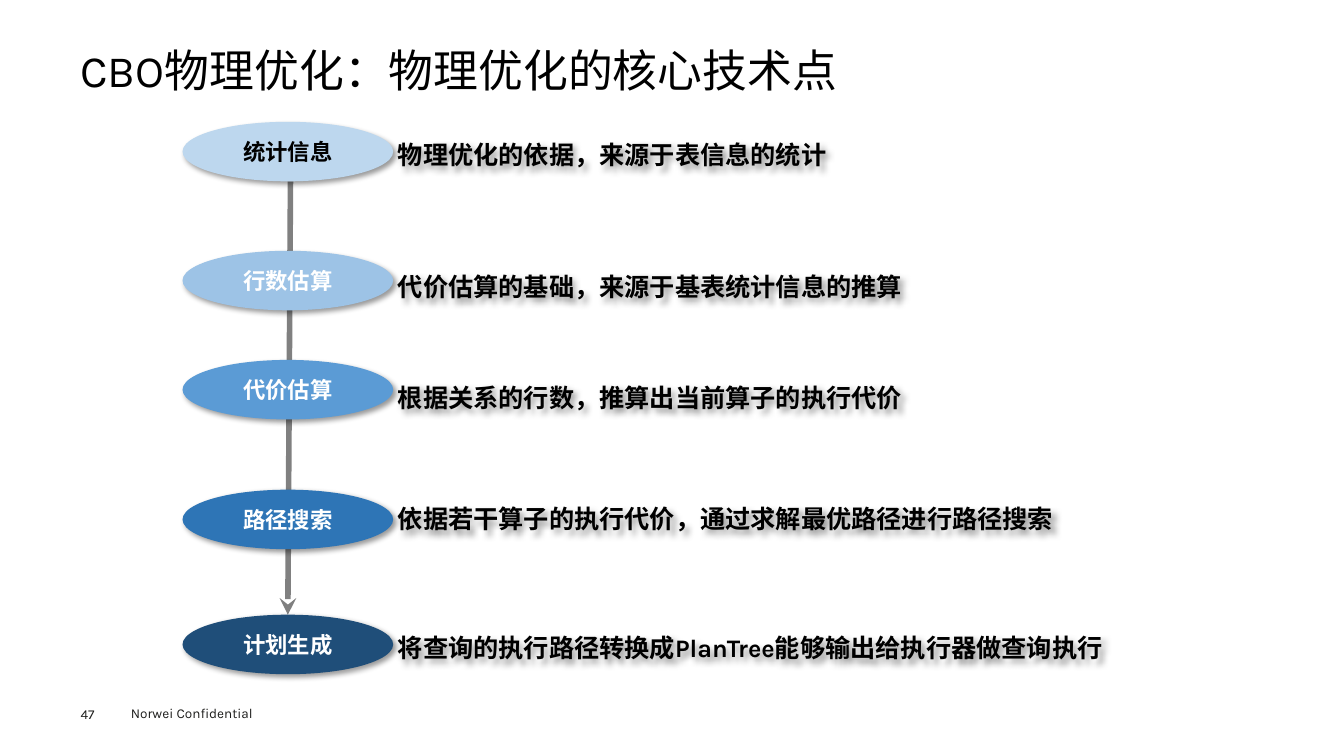
from lxml import etree
from pptx import Presentation
from pptx.dml.color import RGBColor
from pptx.enum.shapes import MSO_CONNECTOR, MSO_SHAPE
from pptx.enum.text import MSO_ANCHOR, PP_ALIGN
from pptx.oxml.ns import qn
from pptx.util import Cm, Pt

LINE, OVAL = MSO_CONNECTOR.STRAIGHT, MSO_SHAPE.OVAL
TOP, MIDDLE = MSO_ANCHOR.TOP, MSO_ANCHOR.MIDDLE
LEFT, CENTER = PP_ALIGN.LEFT, PP_ALIGN.CENTER

COLORS = {
    "black": "000000", "white": "FFFFFF", "foot": "1D1D1B", "line": "808080",
    "stats": "BDD7EE", "rows": "9DC3E6", "cost": "5B9BD5",
    "path": "2E75B6", "plan": "1F4E79",
}

# label, fill, label colour, oval top, note, note top (cm)
STEPS = [
    ("统计信息", "stats", "black", 3.07,
     "物理优化的依据，来源于表信息的统计", 3.38),
    ("行数估算", "rows", "white", 6.32,
     "代价估算的基础，来源于基表统计信息的推算", 6.71),
    ("代价估算", "cost", "white", 9.07,
     "根据关系的行数，推算出当前算子的执行代价", 9.5),
    ("路径搜索", "path", "white", 12.34,
     "依据若干算子的执行代价，通过求解最优路径进行路径搜索", 12.57),
    ("计划生成", "plan", "white", 15.49,
     "将查询的执行路径转换成PlanTree能够输出给执行器做查询执行", 15.82),
]


class Deck:
    font = "Karla"

    def __init__(self, slide):
        self.slide = slide

    def color(self, name):
        return RGBColor.from_string(COLORS[name])

    def effects(self, shape, shadow):
        """Give the shape an empty effect list, or one with a soft shadow."""
        props = shape._element.spPr
        group = etree.SubElement(props, qn("a:effectLst"))
        if shadow:
            outer = etree.SubElement(
                group, qn("a:outerShdw"), blurRad=str(Pt(4)), dist=str(Pt(3)),
                dir=str(45 * 60000), algn="tl", rotWithShape="0")
            tint = etree.SubElement(outer, qn("a:srgbClr"), val=COLORS["black"])
            etree.SubElement(tint, qn("a:alpha"), val="40000")

    def label(self, shape, text, size, color, bold=False, align=LEFT,
              anchor=TOP, inset=True):
        """Put one styled paragraph into the shape."""
        frame = shape.text_frame
        frame.word_wrap = True
        frame.vertical_anchor = anchor
        if not inset:
            frame.margin_left = frame.margin_right = 0
            frame.margin_top = frame.margin_bottom = 0
        para = frame.paragraphs[0]
        para.text = text
        para.alignment = align
        para.font.name = self.font
        para.font.size = Pt(size)
        para.font.bold = bold
        para.font.color.rgb = self.color(color)
        return para

    def text(self, box, text, size, color, shadow=False, **style):
        shape = self.slide.shapes.add_textbox(*map(Cm, box))
        if shadow:
            self.effects(shape, True)
        return self.label(shape, text, size, color, **style)

    def oval(self, box, text, fill, color):
        shape = self.slide.shapes.add_shape(OVAL, *map(Cm, box))
        shape.fill.solid()
        shape.fill.fore_color.rgb = self.color(fill)
        shape.line.fill.background()
        self.effects(shape, True)
        self.label(shape, text, 16, color, bold=True, align=CENTER,
                   anchor=MIDDLE, inset=False)
        return shape

    def arrow(self, start, end):
        line = self.slide.shapes.add_connector(LINE, *map(Cm, start + end))
        line.line.color.rgb = self.color("line")
        line.line.width = Pt(4)
        etree.SubElement(line.line._get_or_add_ln(), qn("a:tailEnd"),
                         type="stealth")
        self.effects(line, False)
        return line


def main():
    show = Presentation()
    show.slide_width, show.slide_height = Cm(33.87), Cm(19.05)
    deck = Deck(show.slides.add_slide(show.slide_layouts[6]))

    deck.text((3.05, 17.65, 4.06, 0.69), "Norwei Confidential", 9.7, "foot")
    deck.text((2.03, 17.78, 1.4, 0.41), "47", 9.7, "foot", inset=False)
    title = deck.text((2.03, 1.24, 29.8, 2.79),
                      "CBO物理优化：物理优化的核心技术点", 32, "black", inset=False)
    title.line_spacing = 0.9

    arrow = deck.arrow((7.32, 4.57), (7.25, 15.49))
    for label, fill, color, top, note, level in STEPS:
        oval = deck.oval((4.6, top, 5.31, 1.5), label, fill, color)
        deck.text((9.78, level, 22.1, 1.02), note, 18, "black",
                  shadow=True, bold=True)
    arrow.end_connect(oval, 0)

    show.save("out.pptx")


if __name__ == "__main__":
    main()
